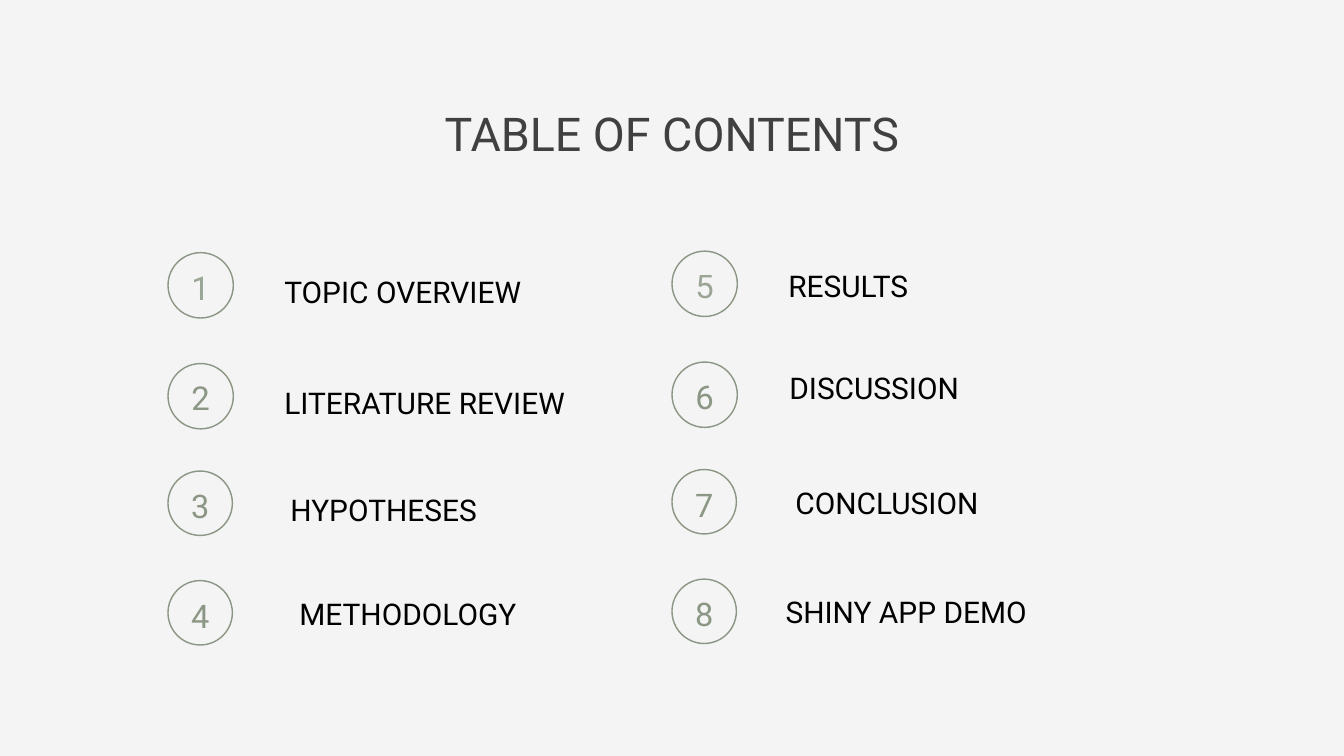
import pptx
import pptx.util
from lxml import etree
from pptx.dml.color import RGBColor
from pptx.enum.shapes import MSO_SHAPE
from pptx.enum.text import MSO_ANCHOR, PP_ALIGN
from pptx.oxml.ns import qn

Pt = pptx.util.Pt
LEFT, CENTER = PP_ALIGN.LEFT, PP_ALIGN.CENTER
FONT, SAGE = "Roboto", "8B9684"

# Content: label, left, top, width, alignment; one list per column
COLUMNS = [
    [("TOPIC OVERVIEW", 304.6, 293, 294, LEFT),
     ("LITERATURE REVIEW", 304.6, 411.1, 333, LEFT),
     ("HYPOTHESES", 304.6, 526.3, 213, CENTER),
     ("METHODOLOGY ", 304.6, 637.9, 273, CENTER)],
    [("RESULTS", 844.6, 286.6, 213, LEFT),
     ("DISCUSSION", 830.2, 396, 213, CENTER),
     ("CONCLUSION", 835.2, 518.4, 230.4, CENTER),
     ("SHINY APP DEMO", 841.7, 635, 284, LEFT)],
]
# Rows: circle top, diameter, number inset, number size, line spacing
ROWS = [(270.7, 70, 8.4, 35.2, 49.4), (389.5, 70, 8.2, 35.2, 49.3),
        (504.7, 69, 9.4, 34.8, 48.7), (622.1, 69, 9.4, 34.8, 48.7)]
COLUMN_LEFT, COLUMN_PITCH, COLUMN_RISE = 180, 540, 1.6


def color(value):
    return RGBColor.from_string(value)


def place(sp, x, y, w, h):
    sp.left, sp.top, sp.width, sp.height = Pt(x), Pt(y), Pt(w), Pt(h)


def write(sp, text, size, spacing, fill, align):
    tf = sp.text_frame
    tf.word_wrap = True
    tf.vertical_anchor = MSO_ANCHOR.TOP
    tf.margin_left = tf.margin_top = tf.margin_right = tf.margin_bottom = 0
    p = tf.paragraphs[0]
    p.text = text
    p.alignment = align
    p.line_spacing = Pt(spacing)
    p.font.name, p.font.size = FONT, Pt(size)
    p.font.color.rgb = color(fill)
    return p


def add_text(s, box, *style):
    return write(s.shapes.add_textbox(*map(Pt, box)), *style)


def add_circle(s, x, y, d):
    sp = s.shapes.add_shape(MSO_SHAPE.OVAL, Pt(x), Pt(y), Pt(d), Pt(d))
    sp.shadow.inherit = False
    sp.fill.background()
    sp.line.color.rgb = color(SAGE)
    sp.line.width = Pt(1.5)


prs = pptx.Presentation()
prs.slide_width, prs.slide_height = Pt(1440), Pt(810)
s = prs.slides.add_slide(prs.slide_layouts[5])
s.background.fill.solid()
s.background.fill.fore_color.rgb = color("F4F4F4")

# Title
place(s.shapes.title, 396.7, 110.9, 646.6, 60.5)
write(s.shapes.title, "TABLE OF CONTENTS", 49.9, 60.9, "404040", CENTER)

# Numbered entries
for col, entries in enumerate(COLUMNS):
    x = COLUMN_LEFT + col * COLUMN_PITCH
    for row, (label, left, top, width, align) in enumerate(entries):
        y, d, inset, size, spacing = ROWS[row]
        y -= col * COLUMN_RISE
        add_circle(s, x, y, d)
        number = str(col * len(ROWS) + row + 1)
        p = add_text(s, (x, y + inset, d, 47), number, size, spacing, SAGE, CENTER)
        if row == 0:  # the first row's numbers are slightly transparent
            clr = p.font._element.find(".//" + qn("a:srgbClr"))
            etree.SubElement(clr, qn("a:alpha"), val="83000")
        add_text(s, (left, top, width, 39), label, 32, 39, "000000", align)

prs.save("out.pptx")
